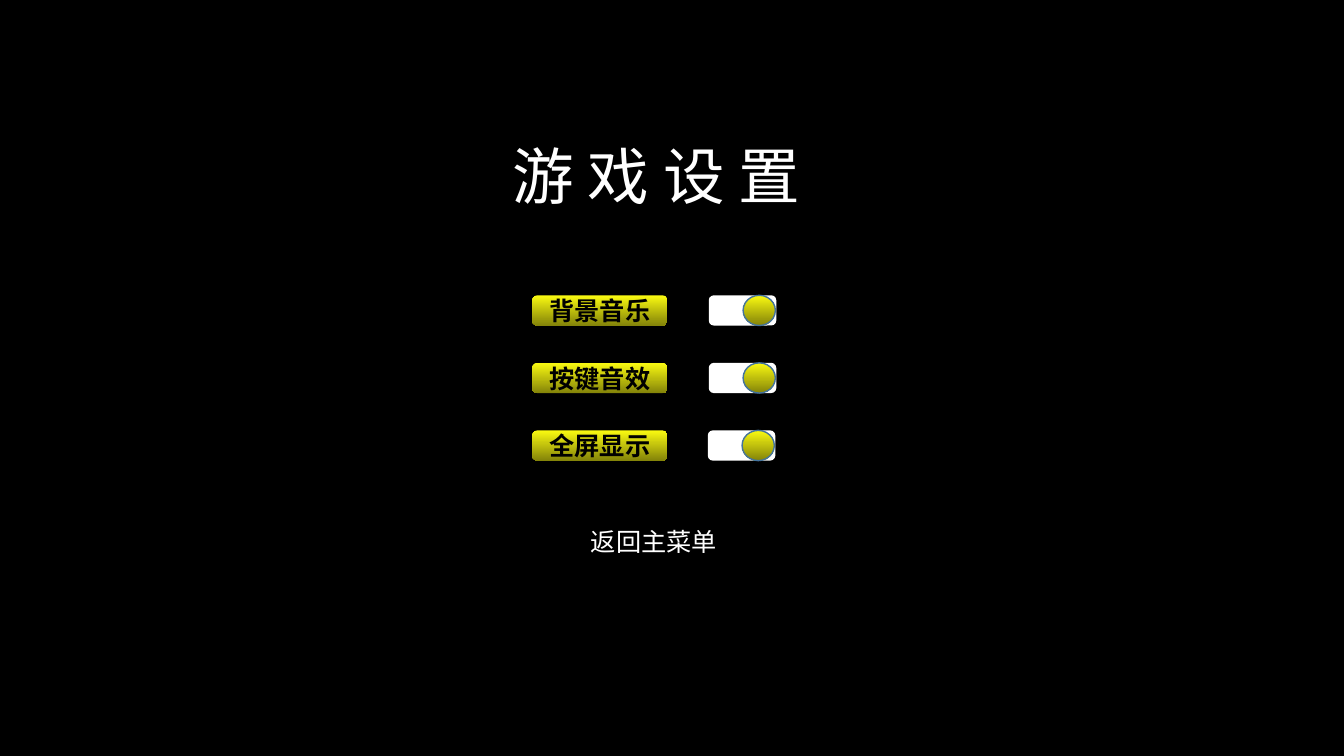
from pptx import Presentation
from pptx.dml.color import RGBColor
from pptx.enum.shapes import MSO_SHAPE as Shape
from pptx.enum.text import MSO_ANCHOR as Anchor, PP_ALIGN as Align
from pptx.util import Inches, Pt

BLACK = RGBColor(0x00, 0x00, 0x00)
WHITE = RGBColor(0xFF, 0xFF, 0xFF)
YELLOW = RGBColor(0xFB, 0xFB, 0x11)
OLIVE = RGBColor(0x83, 0x83, 0x09)
BLUE = RGBColor(0x43, 0x73, 0x9E)


def add_part(shapes, kind, left, top, width, height, *colors):
    """Add a borderless shape with a solid fill or a top-down gradient."""
    part = shapes.add_shape(kind, Inches(left), Inches(top), Inches(width), Inches(height))
    part.shadow.inherit = False
    part.line.fill.background()
    if len(colors) == 1:
        part.fill.solid()
        part.fill.fore_color.rgb = colors[0]
    else:
        part.fill.gradient()
        part.fill.gradient_angle = 270
        for stop, color, position in zip(part.fill.gradient_stops, colors, (0, 1)):
            stop.color.rgb = color
            stop.position = position
    return part


def write(part, text, size, color, bold=False):
    """Set one centred line of text."""
    frame = part.text_frame
    frame.text = text
    frame.word_wrap = True
    frame.vertical_anchor = Anchor.MIDDLE
    line = frame.paragraphs[0]
    line.alignment = Align.CENTER
    font = line.runs[0].font
    font.name, font.size, font.bold = "Calibri", Pt(size), bold
    font.color.rgb = color


prs = Presentation()
prs.slide_width, prs.slide_height = Inches(13.33), Inches(7.5)
slide = prs.slides.add_slide(prs.slide_layouts[5])
slide.background.fill.solid()
slide.background.fill.fore_color.rgb = BLACK

# Title
title = slide.shapes.title
title.left, title.top = Inches(2.78), Inches(0.94)
title.width, title.height = Inches(7.46), Inches(1.59)
write(title, "游 戏 设 置", 44, WHITE)

# Settings: a label and a switch in each row
settings = [("背景音乐", 7.03), ("按键音效", 7.03), ("全屏显示", 7.02)]
for row, (setting, switch_left) in enumerate(settings):
    top = 2.93 + 0.67 * row
    label = add_part(slide.shapes, Shape.ROUNDED_RECTANGLE, 5.28, top, 1.34, 0.3, YELLOW, OLIVE)
    write(label, setting, 18, BLACK, bold=True)

    switch = slide.shapes.add_group_shape().shapes
    add_part(switch, Shape.ROUNDED_RECTANGLE, switch_left, top, 0.67, 0.3, WHITE)
    knob = add_part(switch, Shape.OVAL, switch_left + 0.34, top, 0.32, 0.3, YELLOW, OLIVE)
    knob.line.color.rgb = BLUE
    knob.line.width = Pt(1)

# Back button
back = add_part(slide.shapes, Shape.ROUNDED_RECTANGLE, 5.28, 5.05, 2.41, 0.65, BLACK)
write(back, "返回主菜单", 18, WHITE)

prs.save("out.pptx")
